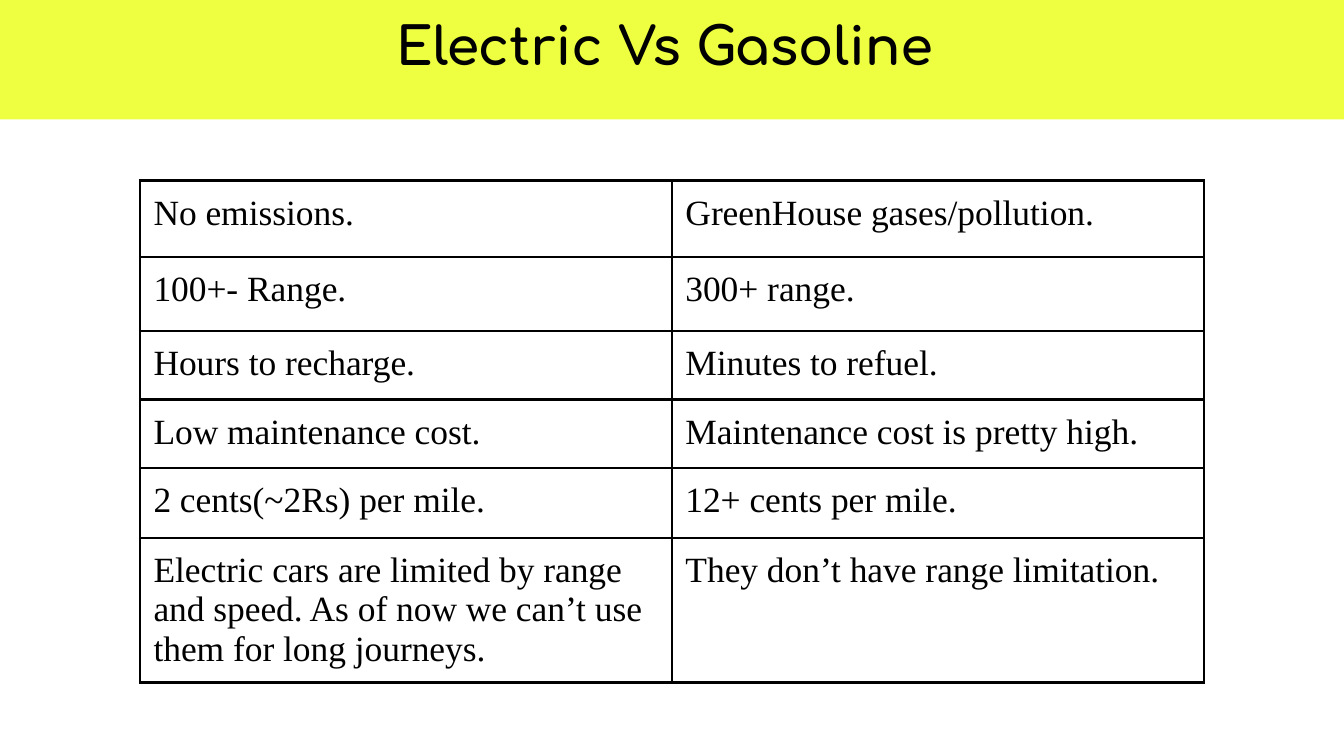
from lxml.etree import SubElement, Element
from pptx import Presentation
from pptx.dml.color import RGBColor
from pptx.enum.text import MSO_ANCHOR as Anchor, MSO_AUTO_SIZE as AutoSize, PP_ALIGN as Align
from pptx.oxml.ns import qn
from pptx.util import Inches, Pt

COLORS = {"band": "EEFF41", "ink": "000000", "background": "FFFFFF"}
COMPARISON = [
    ("No emissions.", "GreenHouse gases/pollution."),
    ("100+- Range.", "300+ range."),
    ("Hours to recharge.", "Minutes to refuel."),
    ("Low maintenance cost.", "Maintenance cost is pretty high."),
    ("2 cents(~2Rs) per mile.", "12+ cents per mile."),
    ("Electric cars are limited by range and speed. As of now we can’t use them for long journeys.",
     "They don’t have range limitation."),
]
ROW_HEIGHTS = [0.57, 0.55, 0.51, 0.51, 0.52, 0.65]


class SlideBuilder:
    """Holds the style and current slide; places are percentages of the slide's size."""

    title_font = ("Comfortaa", 28, True)
    cell_font = ("Times New Roman", 19, False)
    inset = Inches(0.1)
    border_width = Pt(1.5)

    def __init__(self, presentation):
        self.width = presentation.slide_width
        self.height = presentation.slide_height
        self.slide = presentation.slides.add_slide(presentation.slide_layouts[5])
        background = self.slide.background.fill
        background.solid()
        background.fore_color.rgb = self.color("background")

    def color(self, name):
        return RGBColor.from_string(COLORS[name])

    def across(self, percent):
        return int(self.width * percent / 100)

    def down(self, percent):
        return int(self.height * percent / 100)

    def format_text(self, text_frame, style):
        name, size, bold = style
        for paragraph in text_frame.paragraphs:
            for run in paragraph.runs:
                run.font.name = name
                run.font.size = Pt(size)
                run.font.bold = bold
                run.font.color.rgb = self.color("ink")

    def set_margins(self, holder):
        holder.margin_left = holder.margin_right = self.inset
        holder.margin_top = holder.margin_bottom = self.inset

    def title(self, text, height):
        shape = self.slide.shapes.title
        shape.left, shape.top = 0, 0
        shape.width, shape.height = self.width, self.down(height)
        shape.fill.solid()
        shape.fill.fore_color.rgb = self.color("band")
        frame = shape.text_frame
        frame.text = text
        frame.auto_size = AutoSize.NONE
        frame.word_wrap = True
        frame.vertical_anchor = Anchor.TOP
        self.set_margins(frame)
        frame.paragraphs[0].alignment = Align.CENTER
        self.format_text(frame, self.title_font)

    def border(self, cell):
        properties = cell._tc.get_or_add_tcPr()
        for position, side in enumerate(("lnL", "lnR", "lnT", "lnB")):
            line = Element(qn(f"a:{side}"), w=str(self.border_width))
            fill = SubElement(line, qn("a:solidFill"))
            SubElement(fill, qn("a:srgbClr"), val=COLORS["ink"])
            properties.insert(position, line)

    def table(self, rows, heights, left, top, width):
        frame = self.slide.shapes.add_table(
            len(rows), len(rows[0]), self.across(left), self.down(top),
            self.across(width), Inches(sum(heights)))
        table = frame.table
        table.first_row = table.horz_banding = False
        for row, height, texts in zip(table.rows, heights, rows):
            row.height = Inches(height)
            for cell, text in zip(row.cells, texts):
                cell.text_frame.text = text
                cell.vertical_anchor = Anchor.TOP
                self.set_margins(cell)
                self.format_text(cell.text_frame, self.cell_font)
                cell.fill.background()
                self.border(cell)


def main():
    presentation = Presentation()
    presentation.slide_width = Inches(10)
    presentation.slide_height = presentation.slide_width * 9 // 16
    builder = SlideBuilder(presentation)
    builder.title("Electric Vs Gasoline ", height=15.8)
    builder.table(COMPARISON, ROW_HEIGHTS, left=10.42, top=23.86, width=79.16)
    presentation.save("out.pptx")


if __name__ == "__main__":
    main()
